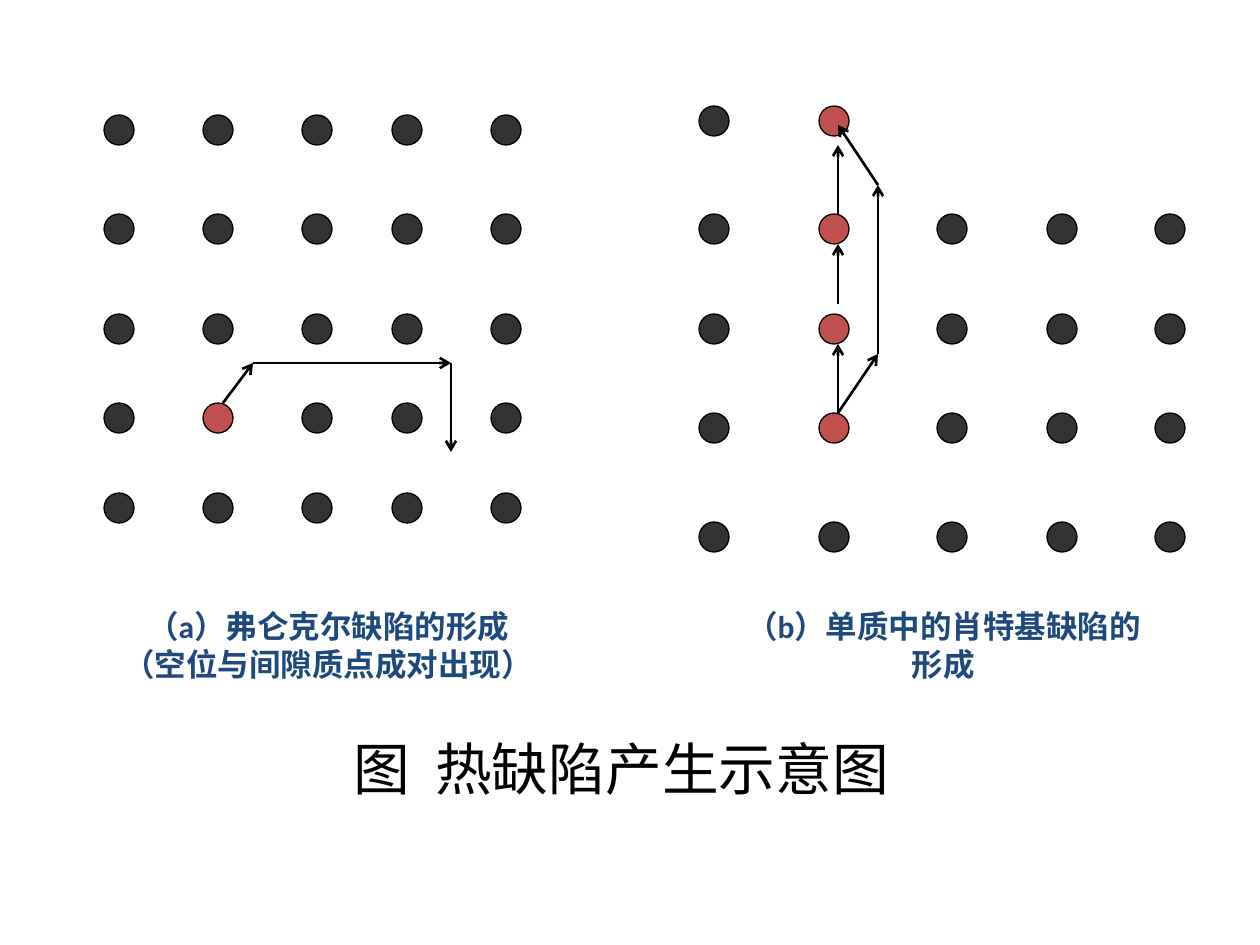
import itertools
from dataclasses import dataclass

import pptx
import pptx.dml.color
import pptx.enum.shapes
import pptx.enum.text
import pptx.oxml.ns
import pptx.util
from lxml import etree

PX_PER_INCH = 126
ATOM_SIZE = 30
FONT = "Calibri"
COLORS = {
    "atom": "333333",
    "displaced": "C0504D",
    "ink": "000000",
    "caption": "1F497D",
}

Point = tuple[int, int]


@dataclass(frozen=True)
class Lattice:
    """Atoms at the crossings of columns and rows, as (row, column) sites."""
    lefts: tuple[int, ...]
    tops: tuple[int, ...]
    displaced: frozenset[Point]
    vacant: frozenset[Point]
    routes: tuple[tuple[Point, ...], ...]


FRENKEL = Lattice(
    lefts=(104, 203, 302, 392, 491),
    tops=(115, 214, 314, 403, 493),
    displaced=frozenset({(3, 1)}),
    vacant=frozenset(),
    routes=(((223, 403), (253, 363), (451, 363), (451, 452)),),
)
SCHOTTKY = Lattice(
    lefts=(699, 819, 937, 1047, 1155),
    tops=(106, 214, 314, 413, 522),
    displaced=frozenset((row, 1) for row in range(4)),
    vacant=frozenset((0, column) for column in range(2, 5)),
    routes=(
        ((838, 413), (878, 354), (878, 185), (838, 125)),
        ((838, 413), (838, 344)),
        ((838, 304), (838, 244)),
        ((838, 214), (838, 145)),
    ),
)


def px(length: int) -> pptx.util.Emu:
    return pptx.util.Emu(round(length * 914400 / PX_PER_INCH))


def rgb(name: str) -> pptx.dml.color.RGBColor:
    return pptx.dml.color.RGBColor.from_string(COLORS[name])


def add_text(slide, text: str, left: int, top: int, width: int, height: int, *,
             size: float, color: str, bold: bool = False,
             line_spacing: float = 1.0,
             anchor=pptx.enum.text.MSO_ANCHOR.TOP) -> None:
    frame = slide.shapes.add_textbox(
        px(left), px(top), px(width), px(height)).text_frame
    frame.word_wrap = True
    frame.vertical_anchor = anchor
    paragraph = frame.paragraphs[0]
    paragraph.alignment = pptx.enum.text.PP_ALIGN.CENTER
    paragraph.line_spacing = line_spacing
    run = paragraph.add_run()
    run.text = text
    run.font.name = FONT
    run.font.size = pptx.util.Pt(size)
    run.font.bold = bold
    run.font.color.rgb = rgb(color)


def add_atom(slide, left: int, top: int, color: str) -> None:
    atom = slide.shapes.add_shape(
        pptx.enum.shapes.MSO_SHAPE.OVAL,
        px(left), px(top), px(ATOM_SIZE), px(ATOM_SIZE))
    atom.shadow.inherit = False
    atom.fill.solid()
    atom.fill.fore_color.rgb = rgb(color)
    atom.line.color.rgb = rgb("ink")
    atom.line.width = pptx.util.Pt(0.75)


def add_arrow(slide, start: Point, end: Point) -> None:
    arrow = slide.shapes.add_connector(
        pptx.enum.shapes.MSO_CONNECTOR.STRAIGHT,
        *map(px, start), *map(px, end))
    arrow.line.color.rgb = rgb("ink")
    arrow.line.width = pptx.util.Pt(1.5)
    qn = pptx.oxml.ns.qn
    properties = arrow.element.spPr
    etree.SubElement(properties.find(qn("a:ln")), qn("a:tailEnd"), type="arrow")
    etree.SubElement(properties, qn("a:effectLst"))


def draw_lattice(slide, lattice: Lattice) -> None:
    for row, top in enumerate(lattice.tops):
        for column, left in enumerate(lattice.lefts):
            site = (row, column)
            if site not in lattice.vacant:
                color = "displaced" if site in lattice.displaced else "atom"
                add_atom(slide, left, top, color)
    for route in lattice.routes:
        for start, end in itertools.pairwise(route):
            add_arrow(slide, start, end)


def main() -> None:
    deck = pptx.Presentation()
    deck.slide_width = pptx.util.Inches(10)
    deck.slide_height = pptx.util.Inches(7.5)
    slide = deck.slides.add_slide(deck.slide_layouts[6])

    # Figure title
    add_text(slide, "图  热缺陷产生示意图", 54, 734, 1134, 79,
             size=32.4, color="ink", line_spacing=0.85,
             anchor=pptx.enum.text.MSO_ANCHOR.MIDDLE)

    # Captions of the two defects
    add_text(slide, "（a）弗仑克尔缺陷的形成（空位与间隙质点成对出现）",
             105, 601, 446, 88, size=18, color="caption", bold=True)
    add_text(slide, "（b）单质中的肖特基缺陷的形成",
             730, 601, 427, 88, size=18, color="caption", bold=True)

    # Lattices with the routes of the displaced atoms
    for lattice in (FRENKEL, SCHOTTKY):
        draw_lattice(slide, lattice)

    deck.save("out.pptx")


if __name__ == "__main__":
    main()
